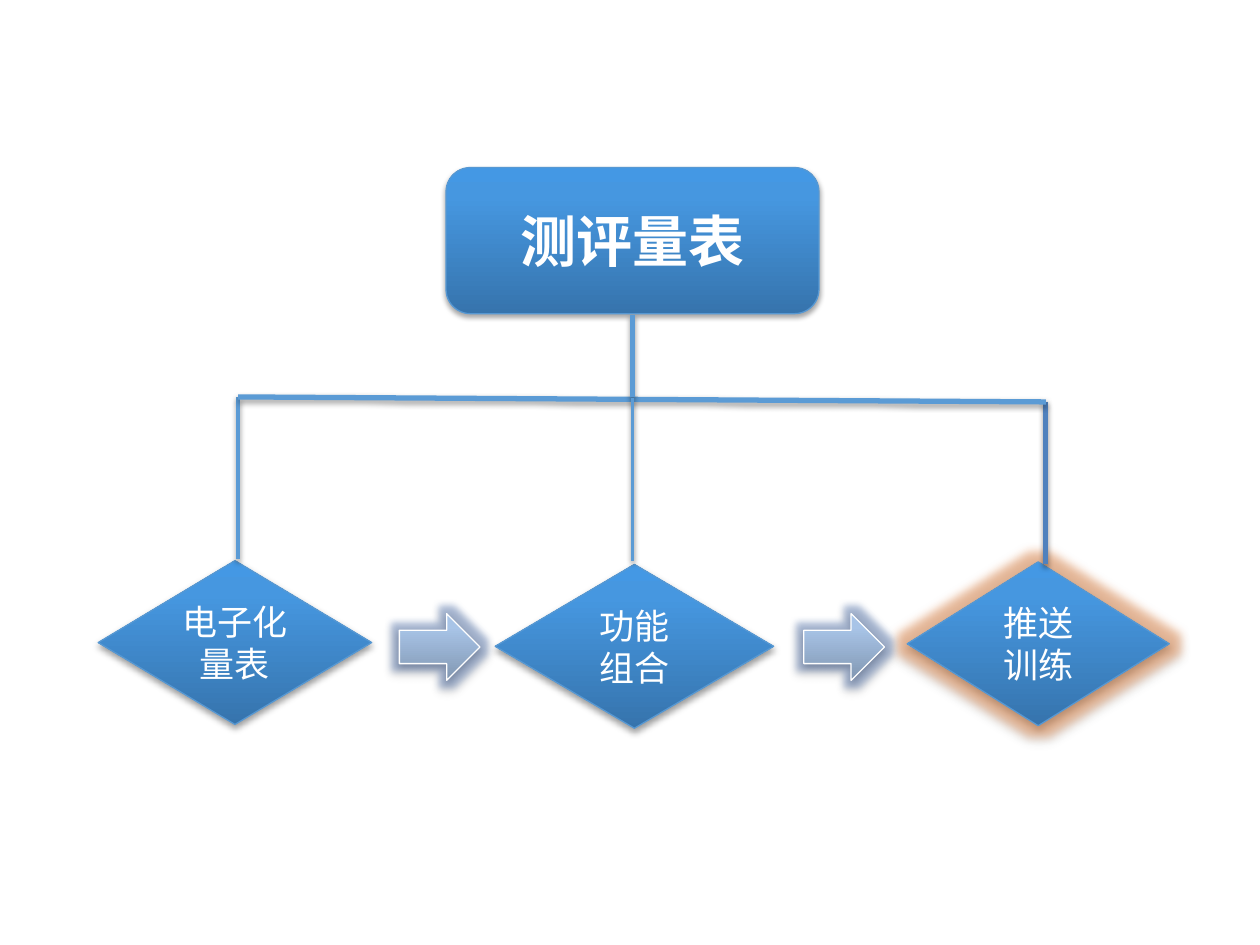
import pptx
import pptx.util
import pptx.oxml
import pptx.dml.color
import pptx.enum.shapes
import pptx.enum.text
from pptx.util import Inches

THEME = {
    "blue": [(0, "3674AD"), (80, "4697E0"), (100, "4498E4")],
    "pale": [(0, "8197B2"), (80, "A8C4E7"), (100, "A8C5E9")],
    "edge": "5698D3", "white": "FFFFFF", "branch": "5B9BD5", "last_branch": "4F81BD",
    "orange_glow": ("ED7D31", 11), "blue_glow": ("4A6FB0", 8),
    "font": "Calibri", "title_size": 32, "step_size": 20,
}
NAMESPACE = 'xmlns:a="http://schemas.openxmlformats.org/drawingml/2006/main"'
COLOR = pptx.dml.color.RGBColor.from_string
SHAPE = pptx.enum.shapes.MSO_SHAPE


def add_effects(properties, alpha, blur, distance, glow=None):
    glow_xml = ""
    if glow:
        glow_xml = (f'<a:glow rad="{glow[1] * 12700}"><a:srgbClr val="{glow[0]}">'
                    '<a:alpha val="40000"/></a:srgbClr></a:glow>')
    properties.append(pptx.oxml.parse_xml(
        f'<a:effectLst {NAMESPACE}>{glow_xml}<a:outerShdw blurRad="{int(blur * 12700)}" '
        f'dist="{int(distance * 12700)}" dir="5400000" rotWithShape="0">'
        f'<a:srgbClr val="000000"><a:alpha val="{alpha * 1000}"/></a:srgbClr>'
        '</a:outerShdw></a:effectLst>'))


def add_node(kind, left, top, width, height, stops, edge, shadow, glow=None,
             lines=(), size=20, bold=False):
    shape = page.shapes.add_shape(kind, Inches(left), Inches(top), Inches(width), Inches(height))
    shape.fill.gradient()
    shape.fill.gradient_angle = 90
    stop_list = shape._element.spPr.gradFill.gsLst
    for stop in list(stop_list):
        stop_list.remove(stop)
    for position, color in stops:
        stop_list.append(pptx.oxml.parse_xml(
            f'<a:gs {NAMESPACE} pos="{position * 1000}"><a:srgbClr val="{color}"/></a:gs>'))
    shape.line.color.rgb = COLOR(edge)
    shape.line.width = pptx.util.Pt(0.75)
    add_effects(shape._element.spPr, *shadow, glow)
    frame = shape.text_frame
    frame.vertical_anchor = pptx.enum.text.MSO_ANCHOR.MIDDLE
    for number, text in enumerate(lines):
        para = frame.add_paragraph() if number else frame.paragraphs[0]
        para.text = text
        para.alignment = pptx.enum.text.PP_ALIGN.CENTER
        para.font.name = THEME["font"]
        para.font.size = pptx.util.Pt(size)
        para.font.bold = bold
        para.font.color.rgb = COLOR(THEME["white"])


deck = pptx.Presentation()
deck.slide_width, deck.slide_height = Inches(10), Inches(7.5)
page = deck.slides.add_slide(deck.slide_layouts[6])

add_node(SHAPE.FLOWCHART_ALTERNATE_PROCESS, 3.54, 1.33, 2.96, 1.16, THEME["blue"],
         THEME["edge"], (35, 3.1, 1.8), lines=["测评量表"], size=THEME["title_size"], bold=True)

steps = [
    (0.78, 4.45, 2.17, ["电子化", "量表"], None),
    (3.93, 4.48, 2.21, ["功能", "组合"], None),
    (7.2, 4.46, 2.08, ["推送", "训练"], THEME["orange_glow"]),
]
for left, top, width, lines, glow in steps:
    add_node(SHAPE.DIAMOND, left, top, width, 1.3, THEME["blue"], THEME["edge"],
             (38, 4, 2), glow, lines, THEME["step_size"])

for left in (3.17, 6.38):
    add_node(SHAPE.RIGHT_ARROW, left, 4.87, 0.64, 0.53, THEME["pale"], THEME["white"],
             (38, 4, 2), THEME["blue_glow"])

branches = [
    (1.89, 3.15, 1.89, 4.44, "branch", 2.25),
    (8.3, 3.19, 8.3, 4.48, "last_branch", 3),
    (1.89, 3.15, 8.3, 3.19, "branch", 3),
    (5.02, 2.5, 5.02, 3.15, "branch", 3),
    (5.02, 3.16, 5.02, 4.45, "branch", 2.25),
]
tree = page.shapes.add_group_shape()
for *ends, color, weight in branches:
    branch = tree.shapes.add_connector(pptx.enum.shapes.MSO_CONNECTOR.STRAIGHT, *map(Inches, ends))
    branch.line.color.rgb = COLOR(THEME[color])
    branch.line.width = pptx.util.Pt(weight)
    add_effects(branch._element.spPr, 38, 3.1, 1.6)

deck.save("out.pptx")
